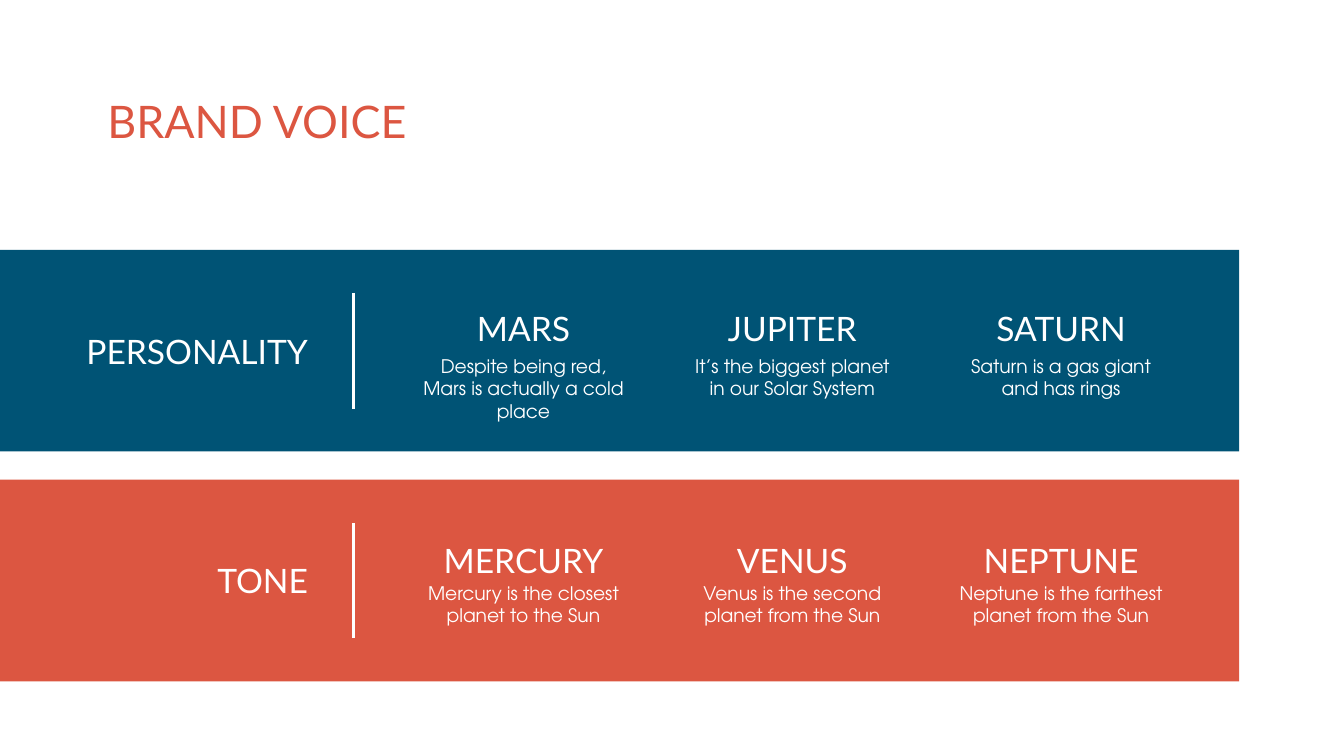
from dataclasses import dataclass
from lxml import etree
from pptx import Presentation
from pptx.dml.color import RGBColor
from pptx.enum.shapes import MSO_CONNECTOR, MSO_SHAPE
from pptx.enum.text import MSO_ANCHOR as ANCHOR, PP_ALIGN as ALIGN
from pptx.oxml.ns import qn
from pptx.util import Inches, Pt


@dataclass(frozen=True)
class Theme:
    coral: RGBColor = RGBColor.from_string("DC5641")
    blue: RGBColor = RGBColor.from_string("005375")
    white: RGBColor = RGBColor.from_string("FFFFFF")
    heading_font: str = "Lato"
    body_font: str = "TeX Gyre Adventor"
    title_size: int = 24
    heading_size: int = 18
    body_size: int = 10
    rule_width: float = 1.5


class Deck:
    def __init__(self, slide, theme):
        self.slide = slide
        self.theme = theme

    def band(self, x, y, w, h, color):
        sp = self.slide.shapes.add_shape(
            MSO_SHAPE.RECTANGLE, Inches(x), Inches(y), Inches(w), Inches(h))
        sp.shadow.inherit = False
        sp.fill.solid()
        sp.fill.fore_color.rgb = color
        sp.line.fill.background()

    def text(self, text, x, y, w, size, font, color,
             align=ALIGN.CENTER, anchor=ANCHOR.MIDDLE):
        sp = self.slide.shapes.add_textbox(
            Inches(x), Inches(y), Inches(w), Inches(0.43))
        tf = sp.text_frame
        tf.word_wrap = True
        tf.vertical_anchor = anchor
        tf.margin_left = tf.margin_right = Inches(0.1)
        tf.margin_top = tf.margin_bottom = Inches(0.1)
        p = tf.paragraphs[0]
        p.text = text
        p.alignment = align
        p.font.size = Pt(size)
        p.font.name = font
        p.font.color.rgb = color

    def title(self, text, x, y, w):
        t = self.theme
        self.text(text, x, y, w, t.title_size, t.heading_font, t.coral, ALIGN.LEFT)

    def heading(self, text, x, y, **kw):
        t = self.theme
        self.text(text, x, y, 2.21, t.heading_size, t.heading_font, t.white, **kw)

    def body(self, text, x, y, anchor):
        t = self.theme
        self.text(text, x, y, 1.77, t.body_size, t.body_font, t.white, anchor=anchor)

    def rule(self, x, y, h):
        line = self.slide.shapes.add_connector(
            MSO_CONNECTOR.STRAIGHT, Inches(x), Inches(y), Inches(x), Inches(y + h))
        line.line.color.rgb = self.theme.white
        line.line.width = Pt(self.theme.rule_width)
        etree.SubElement(line._element.spPr, qn("a:effectLst"))


def main():
    prs = Presentation()
    prs.slide_width = Inches(10)
    prs.slide_height = Inches(10 * 9 / 16)
    theme = Theme()
    deck = Deck(prs.slides.add_slide(prs.slide_layouts[6]), theme)
    deck.title("BRAND VOICE", 0.7, 0.68, 8.82)

    rows = [
        ("PERSONALITY", theme.blue, 1.86, 2.23, 2.54, ANCHOR.TOP, [
            ("MARS", "Despite being red, Mars is actually a cold place"),
            ("JUPITER", "It’s the biggest planet in our Solar System"),
            ("SATURN", "Saturn is a gas giant and has rings")]),
        ("TONE", theme.coral, 3.57, 3.95, 4.28, ANCHOR.MIDDLE, [
            ("MERCURY", "Mercury is the closest planet to the Sun"),
            ("VENUS", "Venus is the second planet from the Sun"),
            ("NEPTUNE", "Neptune is the farthest planet from the Sun")]),
    ]
    for label, color, top, heading_y, body_y, anchor, traits in rows:
        deck.band(0, top, 9.22, 1.5, color)
        deck.heading(label, 0.18, top + 0.5, align=ALIGN.RIGHT, anchor=ANCHOR.TOP)
        deck.rule(2.63, top + 0.32, 0.86)
        for i, (name, description) in enumerate(traits):
            deck.heading(name, 2.79 + 2 * i, heading_y)
            deck.body(description, 3.01 + 2 * i, body_y, anchor)

    prs.save("out.pptx")


if __name__ == "__main__":
    main()
